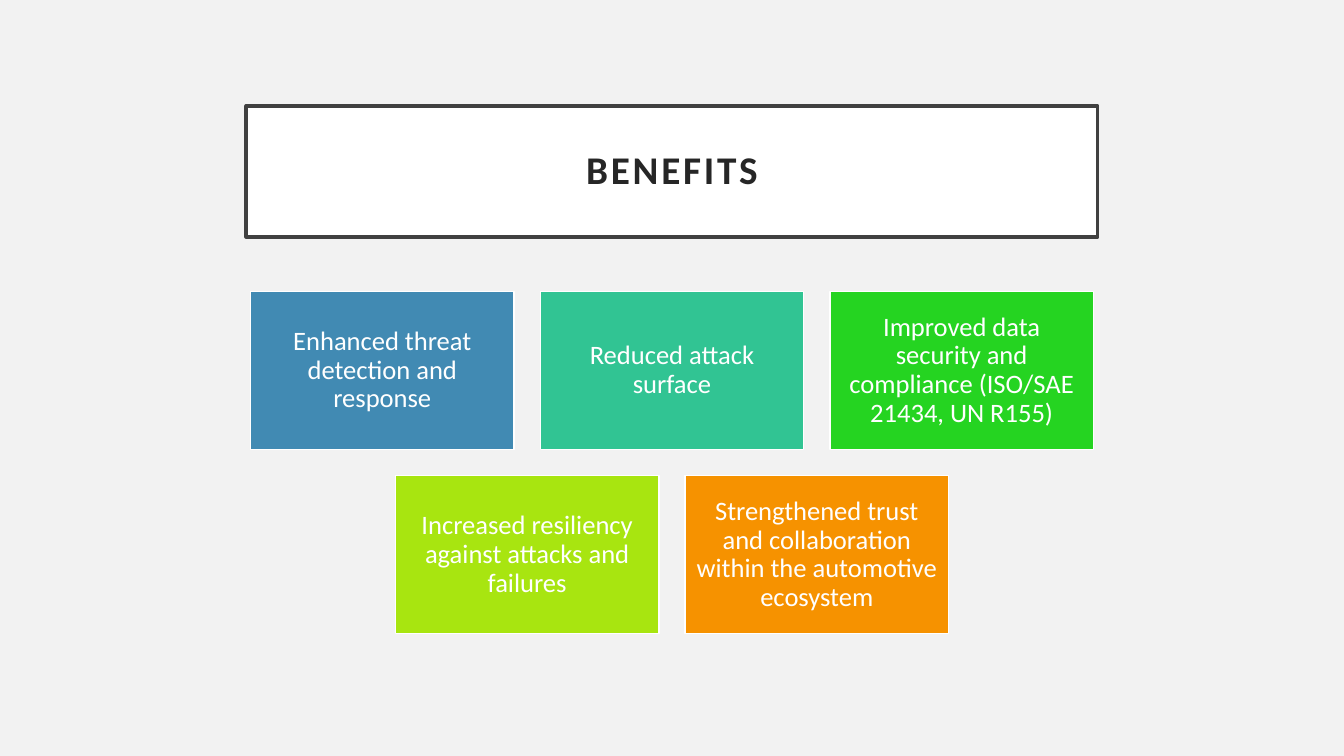
import pptx
import pptx.dml.color
import pptx.enum.shapes
import pptx.enum.text
import pptx.util

Cm = pptx.util.Cm
Pt = pptx.util.Pt

SLIDE_WIDTH, SLIDE_HEIGHT = 33.87, 19.05
COLORS = {
    "background": "F2F2F2",
    "white": "FFFFFF",
    "frame": "404040",
    "heading": "262626",
    "blue": "418AB3",
    "teal": "31C493",
    "green": "25D421",
    "lime": "A8E510",
    "orange": "F69200",
}

# Benefits by row
BENEFIT_ROWS = [
    [
        ("Enhanced threat detection and response", "blue"),
        ("Reduced attack surface", "teal"),
        ("Improved data security and compliance (ISO/SAE 21434, UN R155)", "green"),
    ],
    [
        ("Increased resiliency against attacks and failures", "lime"),
        ("Strengthened trust and collaboration within the automotive ecosystem", "orange"),
    ],
]
TILE_WIDTH, TILE_HEIGHT, TILE_GAP = 6.64, 3.98, 0.66
TILES_TOP = 7.35


def rgb(name):
    return pptx.dml.color.RGBColor.from_string(COLORS[name])


def write_text(frame, text, *, font="Calibri", size=19, color="white",
               bold=False, spacing=0, inset=0.2):
    """Fill a text frame with one centred paragraph."""
    frame.word_wrap = True
    frame.vertical_anchor = pptx.enum.text.MSO_ANCHOR.MIDDLE
    frame.margin_left = frame.margin_right = Cm(inset)
    frame.margin_top = frame.margin_bottom = Cm(inset)
    paragraph = frame.paragraphs[0]
    paragraph.alignment = pptx.enum.text.PP_ALIGN.CENTER
    paragraph.line_spacing = 0.9
    run = paragraph.add_run()
    run.text = text
    run.font.name = font
    run.font.size = Pt(size)
    run.font.bold = bold
    run.font.color.rgb = rgb(color)
    if spacing:
        run._r.get_or_add_rPr().set("spc", str(spacing * 100))


class BenefitsSlide:
    def __init__(self, presentation):
        self.slide = presentation.slides.add_slide(presentation.slide_layouts[6])
        background = self.slide.background.fill
        background.solid()
        background.fore_color.rgb = rgb("background")

    def box(self, left, top, width, height, fill, line, line_width):
        box = self.slide.shapes.add_shape(
            pptx.enum.shapes.MSO_SHAPE.RECTANGLE,
            Cm(left), Cm(top), Cm(width), Cm(height))
        box.shadow.inherit = False
        box.fill.solid()
        box.fill.fore_color.rgb = rgb(fill)
        box.line.color.rgb = rgb(line)
        box.line.width = Pt(line_width)
        return box

    def heading(self, text):
        width = 21.46
        heading = self.box((SLIDE_WIDTH - width) / 2, 2.67, width, 3.3,
                           "white", "frame", 2.5)
        write_text(heading.text_frame, text, size=28, color="heading",
                   bold=True, spacing=2, inset=0.5)

    def tile_row(self, benefits, top):
        pitch = TILE_WIDTH + TILE_GAP
        row_width = len(benefits) * pitch - TILE_GAP
        row_left = (SLIDE_WIDTH - row_width) / 2
        for column, (benefit, fill) in enumerate(benefits):
            tile = self.box(row_left + column * pitch, top,
                            TILE_WIDTH, TILE_HEIGHT, fill, "white", 1)
            write_text(tile.text_frame, benefit)


def main():
    presentation = pptx.Presentation()
    presentation.slide_width = Cm(SLIDE_WIDTH)
    presentation.slide_height = Cm(SLIDE_HEIGHT)
    slide = BenefitsSlide(presentation)

    # Title
    slide.heading("BENEFITS")

    # Centred rows of tiles
    for row, benefits in enumerate(BENEFIT_ROWS):
        slide.tile_row(benefits, TILES_TOP + row * (TILE_HEIGHT + TILE_GAP))

    presentation.save("out.pptx")


if __name__ == "__main__":
    main()
